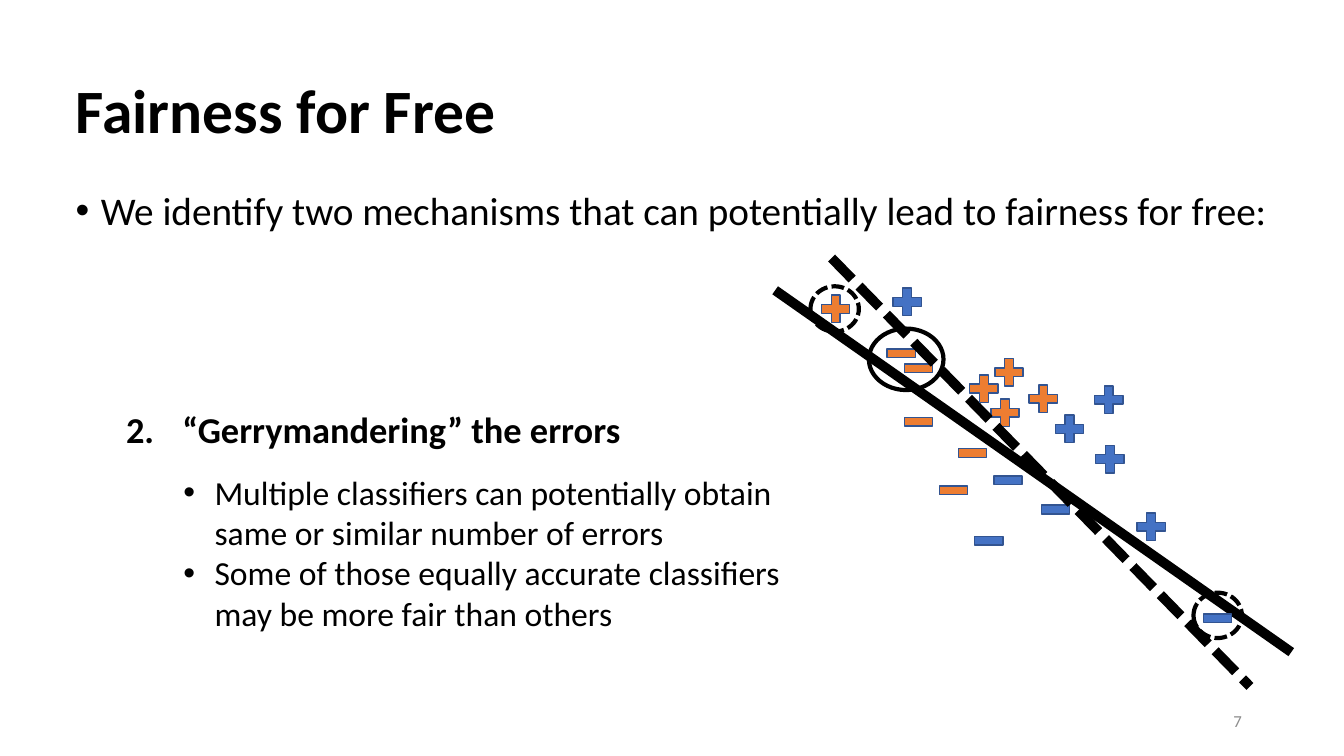
from dataclasses import dataclass
from typing import Optional

from lxml.etree import SubElement
from pptx import Presentation
from pptx.dml.color import RGBColor
from pptx.enum.dml import MSO_LINE_DASH_STYLE as Dash
from pptx.enum.shapes import MSO_CONNECTOR as Connector
from pptx.enum.shapes import MSO_SHAPE as Preset
from pptx.enum.text import MSO_ANCHOR as Anchor
from pptx.enum.text import MSO_AUTO_SIZE as AutoSize
from pptx.enum.text import PP_ALIGN as Align
from pptx.oxml.ns import qn
from pptx.util import Inches, Pt

# Grid of square cells, ten to the inch
COLUMNS, ROWS = 133.33, 75
MARK_WIDTH, MARK_HEIGHT = 3.8, 3.7
FONT = "Calibri"
COLOURS = {
    "ink": "000000",
    "blue": "4472C4",
    "orange": "ED7D31",
    "edge": "325491",
    "grey": "8C8C8C",
}


@dataclass
class Mark:
    """A data point: its group's colour and its label, plus or minus."""
    colour: str
    positive: bool
    column: float
    row: float


@dataclass
class Boundary:
    """A classifier's straight decision boundary."""
    start: tuple[float, float]
    end: tuple[float, float]
    dash: Optional[Dash] = None


@dataclass
class Ring:
    """An oval around misclassified points."""
    column: float
    row: float
    width: float
    height: float
    dash: Optional[Dash] = None


@dataclass
class Line:
    """A paragraph of text with its optional bullet or number."""
    text: str
    size: float
    bold: bool = False
    colour: str = "ink"
    bullet: str = ""
    number: int = 0
    level: int = 0
    margin: float = 0
    hanging: float = 0
    spacing: float = 1.0
    before: float = 0
    align: Align = Align.LEFT


# From back to front
SCATTER = [
    Mark("blue", True, 104.2, 40.7),
    Mark("orange", False, 94.6, 43.1),
    Mark("orange", True, 101.6, 37.7),
    Mark("blue", True, 108.2, 43.7),
    Mark("orange", True, 98.2, 35.1),
    Mark("blue", False, 98.1, 45.8),
    Mark("orange", False, 92.7, 46.8),
    Mark("blue", False, 96.2, 51.8),
    Boundary((76.9, 28.8), (128.1, 64.7)),
    Mark("orange", False, 89.2, 34.7),
    Mark("blue", True, 108.1, 37.8),
    Mark("orange", True, 97.8, 39.1),
    Mark("blue", False, 102.8, 48.7),
    Mark("orange", False, 87.5, 33.2),
    Mark("blue", True, 88.1, 28.1),
    Mark("orange", False, 89.2, 40),
    Mark("blue", True, 112.3, 50.4),
    Boundary((82.5, 25.6), (124, 68.1), Dash.SQUARE_DOT),
    Mark("orange", True, 81, 28.8),
    Mark("blue", False, 118.9, 59.5),
    Mark("orange", True, 95.7, 36.7),
    Ring(86.2, 32.6, 7.4, 6.1),
    Ring(80.4, 28.4, 4.8, 4.5, Dash.SQUARE_DOT),
    Ring(118.4, 58.8, 4.8, 4.5, Dash.SQUARE_DOT),
]


def cells(count: float) -> int:
    return Inches(count / 10)


def rgb(name: str) -> RGBColor:
    return RGBColor.from_string(COLOURS[name])


def style_line(line, colour: str, width: float, dash: Optional[Dash] = None) -> None:
    line.color.rgb = rgb(colour)
    line.width = Pt(width)
    if dash is not None:
        line.dash_style = dash


def draw_mark(shapes, mark: Mark) -> None:
    preset = Preset.MATH_PLUS if mark.positive else Preset.MATH_MINUS
    sign = shapes.add_shape(preset, cells(mark.column), cells(mark.row),
                            cells(MARK_WIDTH), cells(MARK_HEIGHT))
    sign.shadow.inherit = False
    sign.fill.solid()
    sign.fill.fore_color.rgb = rgb(mark.colour)
    style_line(sign.line, "edge", 1)


def draw_boundary(shapes, boundary: Boundary) -> None:
    ends = [cells(value) for value in (*boundary.start, *boundary.end)]
    classifier = shapes.add_connector(Connector.STRAIGHT, *ends)
    style_line(classifier.line, "ink", 7, boundary.dash)
    SubElement(classifier._element.spPr, qn("a:effectLst"))


def draw_ring(shapes, ring: Ring) -> None:
    oval = shapes.add_shape(Preset.OVAL, cells(ring.column), cells(ring.row),
                            cells(ring.width), cells(ring.height))
    oval.shadow.inherit = False
    oval.fill.background()
    style_line(oval.line, "ink", 3, ring.dash)


DRAW = {Mark: draw_mark, Boundary: draw_boundary, Ring: draw_ring}


def write(shape, place: tuple[float, float, float, float], lines: list[Line],
          anchor: Anchor = Anchor.TOP) -> None:
    shape.left, shape.top, shape.width, shape.height = map(cells, place)
    frame = shape.text_frame
    frame.word_wrap = True
    frame.auto_size = AutoSize.NONE
    frame.vertical_anchor = anchor
    for index, line in enumerate(lines):
        paragraph = frame.add_paragraph() if index else frame.paragraphs[0]
        paragraph.level = line.level
        properties = paragraph._p.get_or_add_pPr()
        properties.set("marL", str(Inches(line.margin)))
        properties.set("indent", str(-Inches(line.hanging)))
        if line.number:
            SubElement(properties, qn("a:buAutoNum"), type="arabicPeriod",
                       startAt=str(line.number))
        elif line.bullet:
            SubElement(properties, qn("a:buFont"), typeface="Arial")
            SubElement(properties, qn("a:buChar"), char=line.bullet)
        else:
            SubElement(properties, qn("a:buNone"))
        paragraph.alignment = line.align
        paragraph.line_spacing = line.spacing
        paragraph.space_before = Pt(line.before)
        run = paragraph.add_run()
        run.text = line.text
        run.font.name = FONT
        run.font.size = Pt(line.size)
        run.font.bold = line.bold
        run.font.color.rgb = rgb(line.colour)


def main() -> None:
    deck = Presentation()
    deck.slide_width, deck.slide_height = cells(COLUMNS), cells(ROWS)
    slide = deck.slides.add_slide(deck.slide_layouts[1])
    shapes = slide.shapes

    # Title and the numbered mechanism
    write(shapes.title, (6.5, 4, 115, 14.5),
          [Line("Fairness for Free", 44, bold=True, spacing=0.9)], Anchor.MIDDLE)
    write(slide.placeholders[1], (6.5, 18.5, 120.5, 27.9), [
        Line("We identify two mechanisms that can potentially lead to fairness for free:",
             28, bullet="•", margin=0.25, hanging=0.25, spacing=0.9),
        Line("“Gerrymandering” the errors", 26, bold=True, number=2, level=1,
             margin=1.06, hanging=0.56, spacing=0.9, before=127),
    ])

    # Scatter of points with two classifiers
    scatter = shapes.add_group_shape().shapes
    for part in SCATTER:
        DRAW[type(part)](scatter, part)

    # Explanation and page number
    explanation = [
        "Multiple classifiers can potentially obtain same or similar number of errors",
        "Some of those equally accurate classifiers may be more fair than others",
    ]
    write(shapes.add_textbox(0, 0, 0, 0), (17.2, 46.3, 65.1, 17.2),
          [Line(text, 24, bullet="•", margin=0.31, hanging=0.31) for text in explanation])
    write(shapes.add_textbox(0, 0, 0, 0), (94.2, 69.5, 30, 4),
          [Line("7", 12, colour="grey", align=Align.RIGHT)], Anchor.MIDDLE)

    deck.save("out.pptx")


if __name__ == "__main__":
    main()
